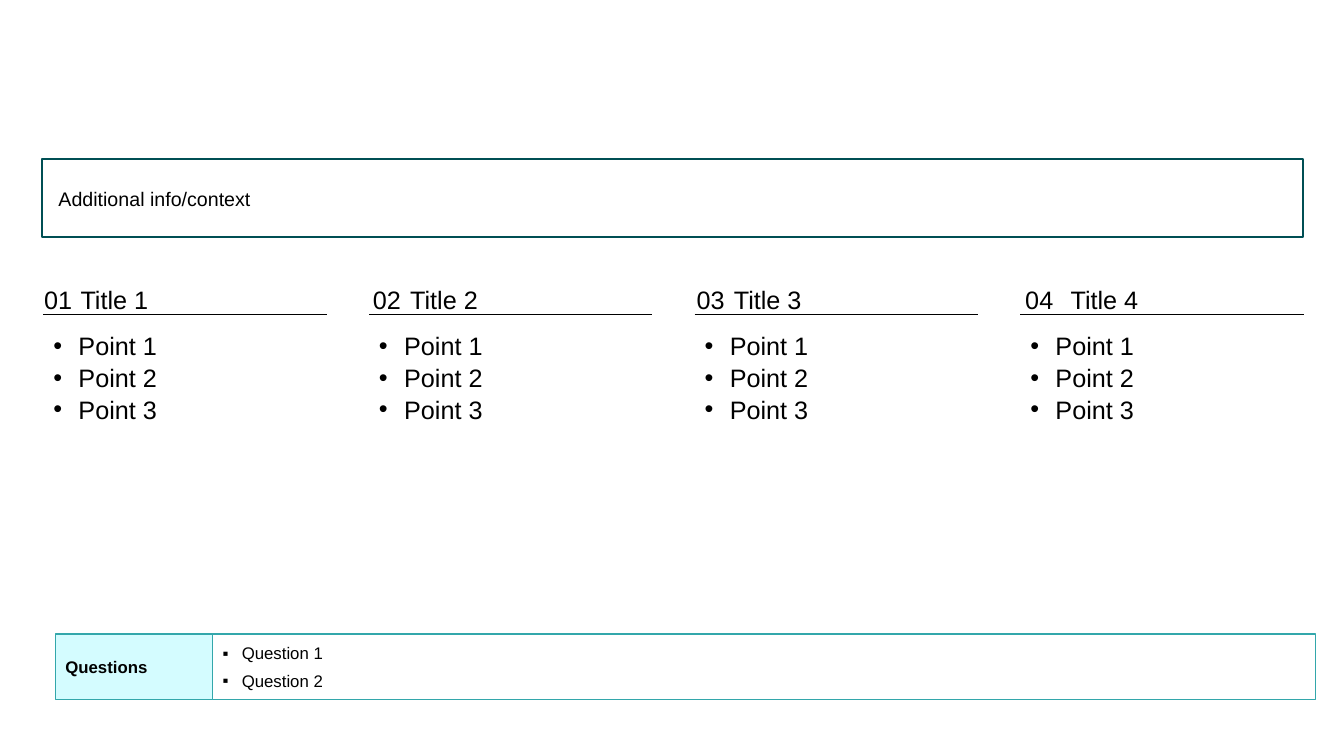
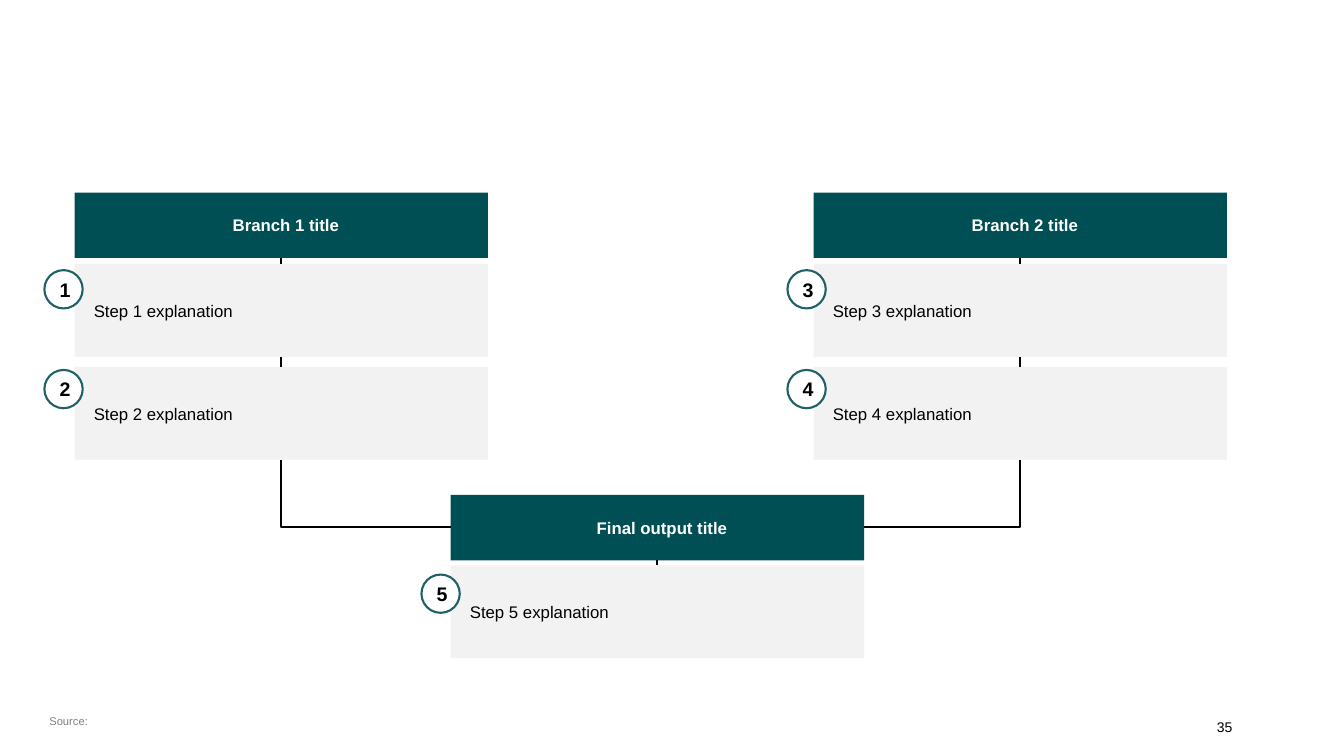
from lxml import etree
from pptx import Presentation
from pptx import util as u
from pptx.dml.color import RGBColor
from pptx.enum import shapes, text
from pptx.oxml.ns import qn

SCALE = 9144
TEAL, RING, EDGE = "004F54", "206166", "33A7AB"
PALE, GREY, MUTED = "D4FCFF", "F2F2F2", "808080"
BLACK, WHITE = "000000", "FFFFFF"
MIDDLE, BOTTOM = text.MSO_ANCHOR.MIDDLE, text.MSO_ANCHOR.BOTTOM
CENTER = text.PP_ALIGN.CENTER
HEADING = {"size": 18, "insets": (10, 8, 10, 0)}
POINTS = HEADING | {"bullet": "•", "hang": 25, "after": 1}
LABEL = {"anchor": MIDDLE, "size": 12}
CARD = LABEL | {"insets": (19, 5, 10, 5)}
BANNER = CARD | {"bold": True, "color": WHITE, "align": CENTER}
BADGE = {"anchor": MIDDLE, "size": 14, "bold": True, "align": CENTER, "insets": (3, 0, 0, 0)}
FOOTER = {"insets": (10, 0, 10, 0)}


def px(length):
    return u.Emu(length * SCALE)


def rgb(value):
    return RGBColor.from_string(value)


def assign(target, values):
    for name, value in values.items():
        setattr(target, name, value)


class Deck:
    font = "Arial"

    def __init__(self, width, height):
        self.presentation = Presentation()
        assign(self.presentation, {"slide_width": px(width), "slide_height": px(height)})
        self.slide = None

    def new_slide(self):
        self.slide = self.presentation.slides.add_slide(self.presentation.slide_layouts[6])

    def fill_text(self, shape, lines, size=12, color=BLACK, bold=False, align=text.PP_ALIGN.LEFT,
                  anchor=text.MSO_ANCHOR.TOP, insets=(10, 10, 10, 10), bullet=None, hang=0, after=0):
        left, top, right, bottom = map(px, insets)
        frame = shape.text_frame
        assign(frame, {"word_wrap": True, "vertical_anchor": anchor, "margin_left": left,
                       "margin_top": top, "margin_right": right, "margin_bottom": bottom})
        frame.text = "\n".join(lines)
        for paragraph in frame.paragraphs:
            assign(paragraph, {"alignment": align, "space_after": u.Pt(after)})
            for run in paragraph.runs:
                assign(run.font, {"name": self.font, "size": u.Pt(size), "bold": bold})
                run.font.color.rgb = rgb(color)
            if bullet:
                properties = paragraph._p.get_or_add_pPr()
                properties.set("marL", str(px(hang)))
                properties.set("indent", str(-px(hang)))
                etree.SubElement(properties, qn("a:buFont")).set("typeface", self.font)
                etree.SubElement(properties, qn("a:buChar")).set("char", bullet)

    def text(self, box, *lines, **style):
        shape = self.slide.shapes.add_textbox(*map(px, box))
        self.fill_text(shape, lines, **style)

    def shape(self, box, *lines, kind=shapes.MSO_SHAPE.RECTANGLE, fill=None, line=None, weight=1, **style):
        shape = self.slide.shapes.add_shape(kind, *map(px, box))
        shape.shadow.inherit = False
        for target, color in ((shape.fill, fill), (shape.line.fill, line)):
            if color:
                target.solid()
                target.fore_color.rgb = rgb(color)
            else:
                target.background()
        if line:
            shape.line.width = u.Pt(weight)
        if lines:
            self.fill_text(shape, lines, **style)
        return shape

    def connector(self, start, end, weight=1.5, kind=shapes.MSO_CONNECTOR.STRAIGHT):
        connector = self.slide.shapes.add_connector(kind, *map(px, start + end))
        connector.line.color.rgb = rgb(BLACK)
        connector.line.width = u.Pt(weight)
        etree.SubElement(connector._element.spPr, qn("a:effectLst"))
        return connector

    def elbow(self, start, end):
        connector = self.connector(start, end, kind=shapes.MSO_CONNECTOR.ELBOW)
        geometry = connector._element.spPr.find(qn("a:prstGeom"))
        adjustments = geometry.find(qn("a:avLst"))
        if adjustments is None:
            adjustments = etree.SubElement(geometry, qn("a:avLst"))
        guide = etree.SubElement(adjustments, qn("a:gd"))
        guide.set("name", "adj1")
        guide.set("fmla", "val 0")

    def link(self, upper, lower):
        connector = self.connector((0, 0), (0, 0))
        connector.begin_connect(upper, 2)
        connector.end_connect(lower, 0)

    def branch(self, left, top, title, steps):
        previous = self.shape((left, top, 410, 65), title, fill=TEAL, **BANNER)
        for number, card_top, badge_left, badge_top in steps:
            card = self.shape((left, card_top, 410, 92), f"Step {number} explanation", fill=GREY, **CARD)
            self.link(previous, card)
            self.shape((badge_left, badge_top, 38, 38), str(number), kind=shapes.MSO_SHAPE.OVAL,
                       fill=WHITE, line=RING, weight=1.5, **BADGE)
            previous = card


def build_columns(deck):
    deck.new_slide()
    deck.shape((42, 158, 1250, 77), "Additional info/context", line=TEAL, weight=1.5,
               size=14, anchor=MIDDLE, insets=(16, 7, 18, 6))
    columns = [(34, 70), (360, 397), (681, 718), (1007, 1052)]
    for index, (number_left, title_left) in enumerate(columns):
        left = 43 + 323 * index
        deck.text((number_left, 274, 281, 35), f"{index + 1:02}", **HEADING)
        deck.text((title_left, 274, 281, 35), f"Title {index + 1}", **HEADING)
        deck.connector((left, 312), (left + 281, 312), weight=0.75)
        deck.text((left, 320, 281, 182), "Point 1", "Point 2", "Point 3", **POINTS)
    deck.shape((211, 629, 1094, 65), "Question 1", "Question 2", fill=WHITE, line=EDGE,
               bullet="▪", hang=19, after=5, **LABEL)
    deck.shape((55, 629, 156, 65), "Questions", fill=PALE, line=EDGE, bold=True, **LABEL)


def build_branches(deck):
    deck.new_slide()
    deck.text((1197, 700, 61, 30), "35", size=10, anchor=BOTTOM, **FOOTER)
    deck.text((39, 700, 408, 30), "Source:", size=8, color=MUTED, anchor=MIDDLE, **FOOTER)
    deck.branch(74, 191, "Branch 1 title", [(1, 262, 44, 268), (2, 364, 44, 367)])
    deck.branch(807, 191, "Branch 2 title", [(3, 262, 781, 268), (4, 364, 781, 367)])
    deck.branch(447, 491, "Final output title", [(5, 561, 418, 570)])
    deck.elbow((279, 456), (447, 523))
    deck.elbow((1012, 456), (857, 523))


def main():
    deck = Deck(1333, 750)
    build_columns(deck)
    build_branches(deck)
    deck.presentation.save("out.pptx")


if __name__ == "__main__":
    main()
